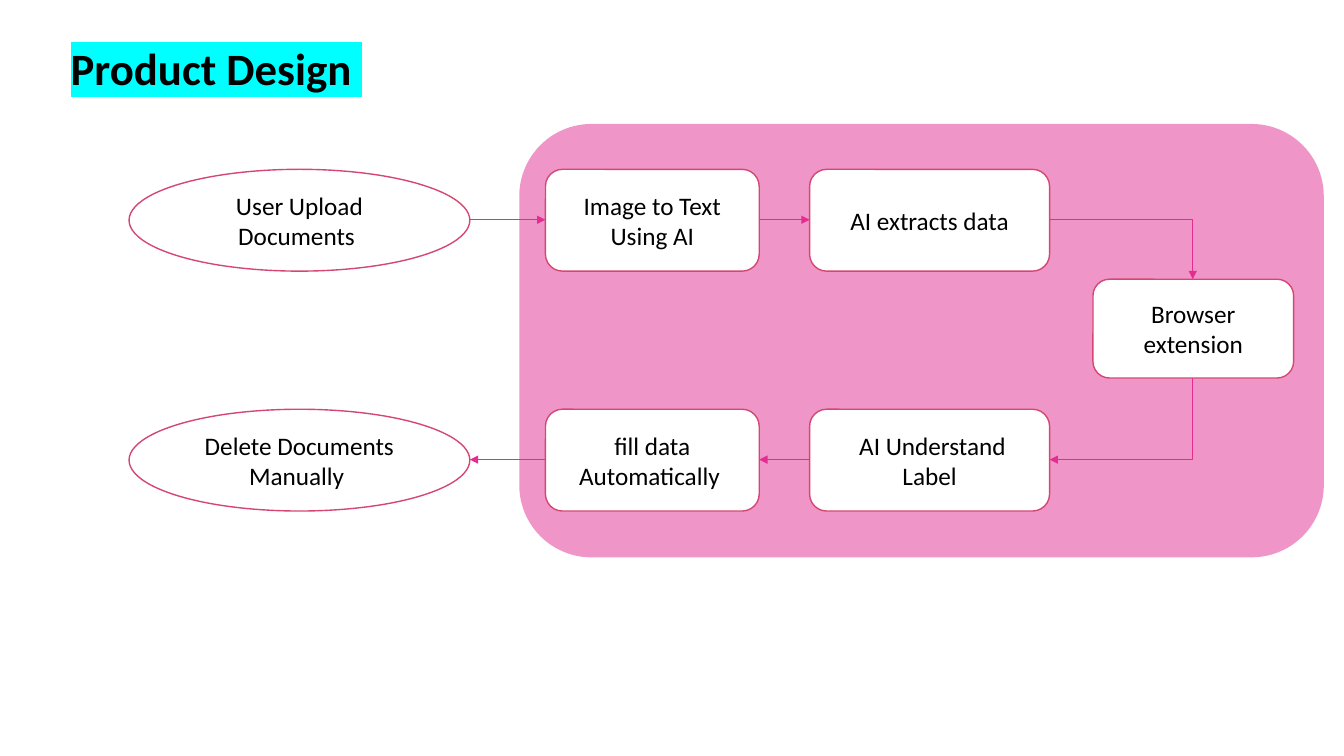
from lxml import etree
from pptx import Presentation
from pptx import util as u
from pptx.dml.color import RGBColor
from pptx.enum import shapes, text
from pptx.oxml.ns import qn

SCALE = 9144
COLORS = {
    "panel": "E32D91",
    "outline": "D54773",
    "arrow": "E32D91",
    "box": "FFFFFF",
    "ink": "000000",
    "highlight": "00FFFF",
}
FONT = "Calibri"
ROUNDED = shapes.MSO_SHAPE.ROUNDED_RECTANGLE
OVAL = shapes.MSO_SHAPE.OVAL
TOP_ROW, BOTTOM_ROW, ROW_HEIGHT = 168, 406, 101
USER_COLUMN = (128, 338)
TEXT_COLUMN = (541, 212)
AI_COLUMN = (803, 238)
EXTENSION = (1084, 277, 199, 98)


def px(value):
    return u.Emu(round(value * SCALE))


def color(name):
    return RGBColor.from_string(COLORS[name])


def add_run(paragraph, words, size, bold=False):
    run = paragraph.add_run()
    run.text = words
    run.font.size = u.Pt(size)
    run.font.bold = bold
    run.font.color.rgb = color("ink")
    run.font.name = FONT
    return run


def highlight(run):
    properties = run._r.get_or_add_rPr()
    mark = etree.Element(qn("a:highlight"))
    etree.SubElement(mark, qn("a:srgbClr"), val=COLORS["highlight"])
    properties.find(qn("a:latin")).addprevious(mark)


def add_title(slide, words, box):
    title = slide.shapes.title
    title.left, title.top, title.width, title.height = map(px, box)
    frame = title.text_frame
    frame.word_wrap = False
    frame.auto_size = text.MSO_AUTO_SIZE.SHAPE_TO_FIT_TEXT
    frame.vertical_anchor = text.MSO_ANCHOR.TOP
    paragraph = frame.paragraphs[0]
    paragraph.alignment = text.PP_ALIGN.LEFT
    highlight(add_run(paragraph, words, 32, bold=True))


def add_shape(slide, kind, box, fill):
    shape = slide.shapes.add_shape(kind, *map(px, box))
    shape.shadow.inherit = False
    shape.fill.solid()
    shape.fill.fore_color.rgb = color(fill)
    return shape


def add_panel(slide, box):
    panel = add_shape(slide, ROUNDED, box, "panel")
    panel.line.fill.background()
    fill_color = panel._element.spPr.find(qn("a:solidFill"))[0]
    etree.SubElement(fill_color, qn("a:alpha"), val="50000")


def add_step(slide, kind, box, lines):
    shape = add_shape(slide, kind, box, "box")
    shape.line.color.rgb = color("outline")
    shape.line.width = u.Pt(1)
    frame = shape.text_frame
    frame.word_wrap = True
    frame.vertical_anchor = text.MSO_ANCHOR.MIDDLE
    for index, line in enumerate(lines):
        paragraph = frame.add_paragraph() if index else frame.paragraphs[0]
        paragraph.alignment = text.PP_ALIGN.CENTER
        add_run(paragraph, line, 18)


def add_arrow(slide, start, end, kind=shapes.MSO_CONNECTOR.STRAIGHT):
    connector = slide.shapes.add_connector(kind, *map(px, start + end))
    connector.line.color.rgb = color("arrow")
    connector.line.width = u.Pt(0.5)
    etree.SubElement(connector.line._get_or_add_ln(), qn("a:tailEnd"), type="triangle")
    etree.SubElement(connector._element.spPr, qn("a:effectLst"))
    return connector


def add_corner_arrow(slide, start, end, quarter_turn=False):
    if quarter_turn:
        middle_x, middle_y = (start[0] + end[0]) / 2, (start[1] + end[1]) / 2
        half_width, half_height = abs(end[1] - start[1]) / 2, abs(end[0] - start[0]) / 2
        start = (middle_x - half_width, middle_y - half_height)
        end = (middle_x + half_width, middle_y + half_height)
    connector = add_arrow(slide, start, end, shapes.MSO_CONNECTOR.ELBOW)
    properties = connector._element.spPr
    properties.find(qn("a:prstGeom")).set("prst", "bentConnector2")
    if quarter_turn:
        properties.find(qn("a:xfrm")).set("rot", "5400000")


def main():
    presentation = Presentation()
    presentation.slide_width, presentation.slide_height = px(1333), px(750)
    slide = presentation.slides.add_slide(presentation.slide_layouts[5])
    add_title(slide, "Product Design ", (60, 35, 311, 64))
    add_panel(slide, (515, 123, 798, 430))

    steps = [
        (OVAL, USER_COLUMN, TOP_ROW, ["User Upload Documents "]),
        (ROUNDED, TEXT_COLUMN, TOP_ROW, ["Image to Text", "Using AI"]),
        (ROUNDED, AI_COLUMN, TOP_ROW, ["AI extracts data"]),
        (ROUNDED, AI_COLUMN, BOTTOM_ROW, [" AI Understand Label"]),
        (ROUNDED, TEXT_COLUMN, BOTTOM_ROW, ["fill data", "Automatically "]),
        (OVAL, USER_COLUMN, BOTTOM_ROW, ["Delete Documents", "Manually "]),
    ]
    for kind, (left, width), top, lines in steps:
        add_step(slide, kind, (left, top, width, ROW_HEIGHT), lines)
    add_step(slide, ROUNDED, EXTENSION, ["Browser extension"])

    top_middle, bottom_middle = (row + ROW_HEIGHT // 2 for row in (TOP_ROW, BOTTOM_ROW))
    columns = [USER_COLUMN, TEXT_COLUMN, AI_COLUMN]
    for (left, width), (next_left, _) in zip(columns, columns[1:]):
        add_arrow(slide, (left + width, top_middle), (next_left, top_middle))
        add_arrow(slide, (next_left, bottom_middle), (left + width, bottom_middle))

    ai_right = sum(AI_COLUMN)
    left, top, width, height = EXTENSION
    center = left + width // 2
    add_corner_arrow(slide, (ai_right, top_middle), (center, top))
    add_corner_arrow(slide, (center, top + height), (ai_right, bottom_middle), quarter_turn=True)
    presentation.save("out.pptx")


if __name__ == "__main__":
    main()
